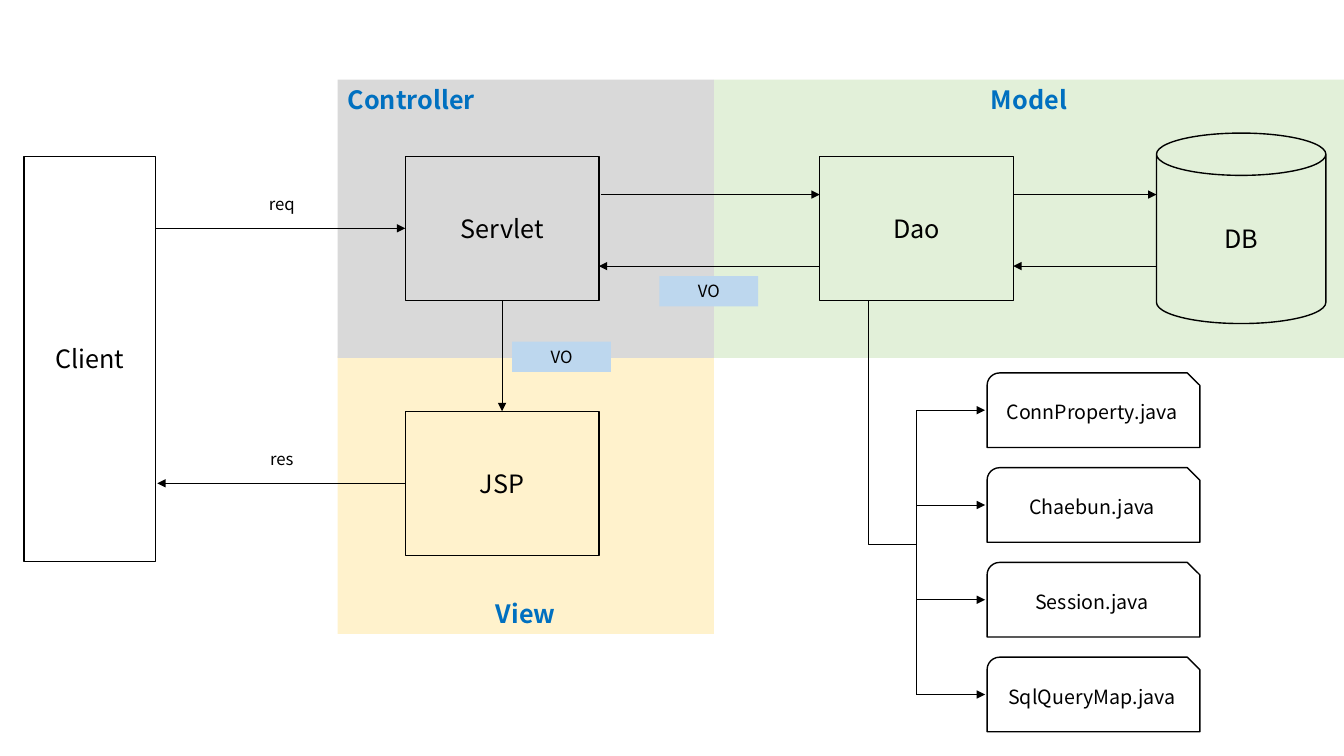
from dataclasses import dataclass

from lxml import etree
from pptx import Presentation
from pptx.dml.color import RGBColor
from pptx.enum.shapes import MSO_CONNECTOR, MSO_SHAPE
from pptx.enum.text import MSO_ANCHOR, MSO_AUTO_SIZE, PP_ALIGN
from pptx.oxml.ns import qn
from pptx.util import Inches, Pt

RECT, CAN = MSO_SHAPE.RECTANGLE, MSO_SHAPE.CAN
FILE_CARD = MSO_SHAPE.SNIP_ROUND_RECTANGLE
STRAIGHT, ELBOW = MSO_CONNECTOR.STRAIGHT, MSO_CONNECTOR.ELBOW
TOP, MIDDLE, BOTTOM = MSO_ANCHOR.TOP, MSO_ANCHOR.MIDDLE, MSO_ANCHOR.BOTTOM
LEFT, CENTER = PP_ALIGN.LEFT, PP_ALIGN.CENTER
GROW = MSO_AUTO_SIZE.SHAPE_TO_FIT_TEXT
SIDE_TOP, SIDE_LEFT, SIDE_BOTTOM = 0, 1, 2


@dataclass(frozen=True)
class Theme:
    font: str = "Noto Sans CJK KR"
    ink: str = "000000"
    title: str = "0070C0"
    model: str = "E2F0D9"
    view: str = "FFF2CC"
    controller: str = "D9D9D9"
    vo: str = "BDD7EE"
    large: int = 18
    medium: int = 14
    small: int = 12
    outline: float = 1
    arrow: float = 0.5


THEME = Theme()


def write(sp, text, size, color=THEME.ink, bold=False, align=CENTER, anchor=MIDDLE):
    tf = sp.text_frame
    tf.text = text
    tf.word_wrap = True
    tf.vertical_anchor = anchor
    p = tf.paragraphs[0]
    p.alignment = align
    font = p.runs[0].font
    font.name, font.size, font.bold = THEME.font, Pt(size), bold
    font.color.rgb = RGBColor.from_string(color)


def add_box(s, box, kind=RECT, fill=None, outlined=False):
    sp = s.shapes.add_shape(kind, *map(Inches, box))
    sp.shadow.inherit = False
    if fill:
        sp.fill.solid()
        sp.fill.fore_color.rgb = RGBColor.from_string(fill)
    else:
        sp.fill.background()
    if outlined:
        sp.line.color.rgb = RGBColor.from_string(THEME.ink)
        sp.line.width = Pt(THEME.outline)
    else:
        sp.line.fill.background()
    return sp


def add_zone(s, box, title, fill, align=CENTER, anchor=TOP):
    sp = add_box(s, box, fill=fill)
    write(sp, title, THEME.large, THEME.title, True, align, anchor)


def add_node(s, box, text, kind=RECT, size=THEME.large):
    sp = add_box(s, box, kind, outlined=True)
    write(sp, text, size)
    return sp


def add_vo(s, box):
    sp = add_box(s, box, fill=THEME.vo)
    write(sp, "VO", THEME.small, anchor=TOP)
    sp.text_frame.auto_size = GROW


def add_label(s, box, text):
    sp = s.shapes.add_textbox(*map(Inches, box))
    write(sp, text, THEME.small, anchor=TOP)
    sp.text_frame.auto_size = GROW


def add_line(s, x1, y1, x2, y2, head=True, kind=STRAIGHT):
    c = s.shapes.add_connector(kind, *map(Inches, (x1, y1, x2, y2)))
    c.line.color.rgb = RGBColor.from_string(THEME.ink)
    c.line.width = Pt(THEME.arrow)
    if head:
        etree.SubElement(c.line._get_or_add_ln(), qn("a:tailEnd"), type="triangle")
    etree.SubElement(c._element.spPr, qn("a:effectLst"))
    return c


def add_down_elbow(s, x1, y1, x2, y2):
    """Run down from the start, then across to the end."""
    cx, cy = (x1 + x2) / 2, (y1 + y2) / 2
    half_w, half_h = (y2 - y1) / 2, (x2 - x1) / 2
    c = add_line(s, cx + half_w, cy - half_h, cx - half_w, cy + half_h, False, ELBOW)
    spPr = c._element.spPr
    spPr.find(qn("a:xfrm")).set("rot", str(270 * 60000))
    guides = spPr.find(qn("a:prstGeom")).find(qn("a:avLst"))
    etree.SubElement(guides, qn("a:gd"), name="adj1", fmla="val 99800")


def draw_zones(s, x, y, w, h):
    split = 3.73
    add_zone(s, (x + split, y, w - split, h), "Model", THEME.model)
    add_zone(s, (x, y + h - 0.02, split, h), "View", THEME.view, anchor=BOTTOM)
    add_zone(s, (x, y, split, h), "Controller", THEME.controller, LEFT)


def draw_files(s, x, y, w, h, trunk_x, source):
    names = ("ConnProperty.java", "Chaebun.java", "Session.java", "SqlQueryMap.java")
    card_h = 0.74
    step = (h - card_h) / (len(names) - 1)
    mids = [y + i * step + card_h / 2 for i in range(len(names))]
    for name, mid in zip(names, mids):
        add_node(s, (x, mid - card_h / 2, w, card_h), name, FILE_CARD, THEME.medium)
        add_line(s, trunk_x, mid, x - 0.02, mid)
    add_line(s, trunk_x, mids[0], trunk_x, mids[-1], head=False)
    add_down_elbow(s, *source, trunk_x, 5.41)


def draw_flow(s, x, y):
    node_w, node_h = 1.92, 1.43
    client_right, servlet_x, dao_x, db_x = x + 1.3, x + 3.78, x + 7.89, x + 11.23
    servlet_right, dao_right = servlet_x + node_w, dao_x + node_w
    jsp_y = y + 2.53

    # Nodes
    add_node(s, (x, y, 1.3, 4.02), "Client")
    servlet = add_node(s, (servlet_x, y, node_w, node_h), "Servlet")
    add_node(s, (dao_x, y, node_w, node_h), "Dao")
    add_node(s, (db_x, y - 0.23, 1.68, 1.89), "DB", CAN)
    jsp = add_node(s, (servlet_x, jsp_y, node_w, node_h), "JSP")

    # Calls to the right and returns to the left
    call_y, return_y = y + 0.38, y + 1.09
    add_line(s, servlet_right + 0.02, call_y, dao_x, call_y)
    add_line(s, dao_right, call_y, db_x, call_y)
    add_line(s, db_x, return_y, dao_right, return_y)
    add_line(s, dao_x, return_y, servlet_right, return_y)

    # Request, forward and response
    req_y, res_y = y + node_h / 2, jsp_y + node_h / 2
    mid_x = servlet_x + node_w / 2
    req = add_line(s, client_right, req_y, servlet_x, req_y)
    req.end_connect(servlet, SIDE_LEFT)
    forward = add_line(s, mid_x, y + node_h, mid_x, jsp_y)
    forward.begin_connect(servlet, SIDE_BOTTOM)
    forward.end_connect(jsp, SIDE_TOP)
    res = add_line(s, servlet_x, res_y, client_right + 0.02, res_y)
    res.begin_connect(jsp, SIDE_LEFT)

    # Labels
    for text, label_y in (("req", y + 0.32), ("res", jsp_y + 0.32)):
        add_label(s, (x + 1.88, label_y, 1.35, 0.3), text)
    for vo_x, vo_y in ((x + 4.84, y + 1.84), (x + 6.3, y + 1.19)):
        add_vo(s, (vo_x, vo_y, 0.98, 0.3))


def main():
    prs = Presentation()
    prs.slide_width, prs.slide_height = Inches(13.33), Inches(7.5)
    s = prs.slides.add_slide(prs.slide_layouts[6])
    draw_zones(s, 3.35, 0.79, 9.98, 2.76)
    draw_files(s, 9.79, 3.7, 2.11, 3.56, trunk_x=9.09, source=(8.61, 2.98))
    draw_flow(s, 0.24, 1.55)
    prs.save("out.pptx")


if __name__ == "__main__":
    main()
